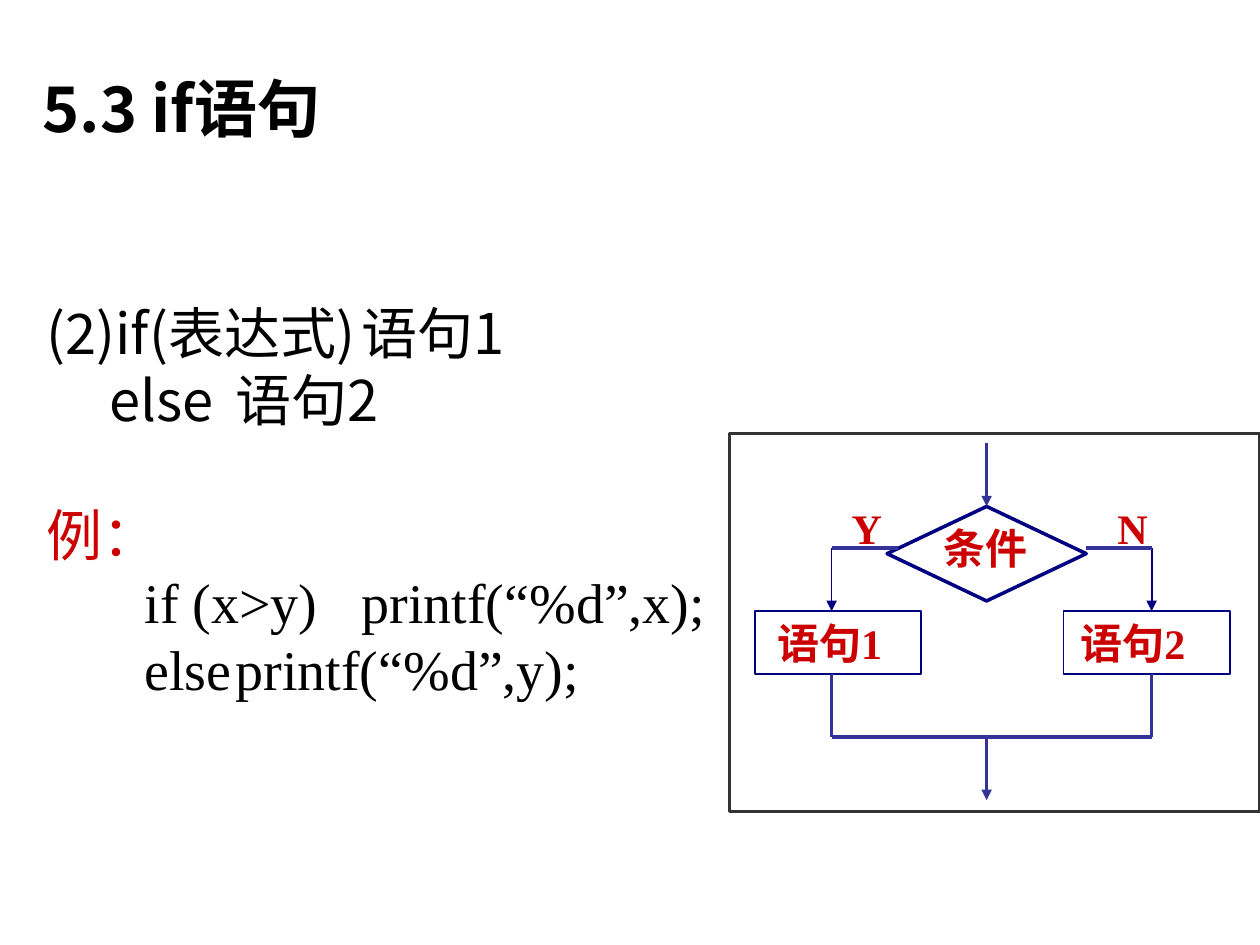
from dataclasses import dataclass
from typing import Optional

from lxml.etree import SubElement
from pptx import Presentation
from pptx.dml.color import RGBColor
from pptx.enum.shapes import MSO_CONNECTOR, MSO_SHAPE
from pptx.enum.text import MSO_ANCHOR, MSO_AUTO_SIZE, PP_ALIGN
from pptx.oxml.ns import qn
from pptx.util import Pt

BLACK = RGBColor(0x00, 0x00, 0x00)
WHITE = RGBColor(0xFF, 0xFF, 0xFF)
RED = RGBColor(0xCC, 0x00, 0x00)
NAVY = RGBColor(0x00, 0x00, 0x80)
INDIGO = RGBColor(0x33, 0x33, 0x99)
CHARCOAL = RGBColor(0x33, 0x33, 0x33)
SANS = "Noto Sans CJK SC"
SERIF = "Times New Roman"
LINE_PITCH = 38.4

LEFT_X, CENTER_X, RIGHT_X = 475.2, 563.8, 658.1
BRANCH_Y, BOX_TOP, BOX_BOTTOM, MERGE_Y = 313.2, 349.2, 385.2, 421.2


@dataclass(frozen=True)
class CodeLine:
    text: str
    font: str
    color: RGBColor = BLACK
    indent: float = 0
    tab: Optional[float] = None
    space_before: float = 0


@dataclass(frozen=True)
class Node:
    kind: MSO_SHAPE
    left: float
    top: float
    width: float
    height: float
    color: RGBColor
    weight: float
    fill: Optional[RGBColor] = None


@dataclass(frozen=True)
class Edge:
    begin: tuple[float, float]
    end: tuple[float, float]
    color: RGBColor = INDIGO
    weight: float = 2
    arrow: bool = False


@dataclass(frozen=True)
class Label:
    text: str
    left: float
    top: float
    width: float


CODE_LINES = [
    CodeLine("(2)if(表达式)\t语句1", SANS, tab=236),
    CodeLine("else\t语句2", SANS, indent=36, tab=190),
    CodeLine("例：", SERIF, RED, space_before=LINE_PITCH),
    CodeLine("if (x>y)\tprintf(“%d”,x);", SERIF, indent=56, tab=179),
    CodeLine("else\tprintf(“%d”,y);", SERIF, indent=56, tab=122),
]
FRAME = Node(MSO_SHAPE.RECTANGLE, 416.9, 247.7, 303.1, 216, CHARCOAL, 2, WHITE)
DECISION = Node(MSO_SHAPE.FLOWCHART_DECISION, 506.9, 289.4, 113.8, 54, NAVY, 2)
STATEMENTS = [
    Node(MSO_SHAPE.FLOWCHART_PROCESS, left, BOX_TOP, 95, 36, NAVY, 1)
    for left in (431.3, 607.7)
]
BRANCHES = [
    edge
    for x, corner in ((LEFT_X, 513.4), (RIGHT_X, 620.6))
    for edge in (
        Edge((x, BRANCH_Y), (x, BOX_TOP), NAVY, 1, True),
        Edge((corner, BRANCH_Y), (x, BRANCH_Y)),
        Edge((x, BOX_BOTTOM), (x, MERGE_Y)),
    )
]
EXITS = [
    Edge((LEFT_X, MERGE_Y), (RIGHT_X, MERGE_Y)),
    Edge((CENTER_X, MERGE_Y), (CENTER_X, 457.2), arrow=True),
]
ENTRY = Edge((CENTER_X, 253.4), (CENTER_X, DECISION.top), arrow=True)
LABELS = [
    Label("条件", 532.1, 295.2, 66),
    Label("语句1", 437, BOX_TOP, 82),
    Label("语句2", 610.3, BOX_TOP, 82),
    Label("Y", 479.5, 283.7, 32),
    Label("N", 631.4, 283.7, 32),
]


def apply_format(target, values: dict) -> None:
    for name, value in values.items():
        setattr(target, name, value)


def write_run(paragraph, text: str, font: str, size: float, color: RGBColor, bold: bool) -> None:
    run = paragraph.add_run()
    run.text = text
    apply_format(run.font, {"name": font, "size": Pt(size), "bold": bold})
    run.font.color.rgb = color
    SubElement(run.font._element, qn("a:ea"), typeface=SANS)


def place(shape, left: float, top: float, width: float, height: float) -> None:
    apply_format(shape, {"left": Pt(left), "top": Pt(top), "width": Pt(width), "height": Pt(height)})


def fill_title(title) -> None:
    place(title, 17, 36, 703, 90)
    apply_format(title.text_frame, {
        "vertical_anchor": MSO_ANCHOR.TOP, "auto_size": MSO_AUTO_SIZE.NONE, "word_wrap": True,
    })
    paragraph = title.text_frame.paragraphs[0]
    paragraph.alignment = PP_ALIGN.LEFT
    write_run(paragraph, "5.3 if语句", SANS, 36, BLACK, True)


def fill_body(body) -> None:
    place(body, 19.4, 130, 481.7, 311.8)
    frame = body.text_frame
    apply_format(frame, {
        "vertical_anchor": MSO_ANCHOR.MIDDLE, "auto_size": MSO_AUTO_SIZE.NONE, "word_wrap": True,
    })
    for index, line in enumerate(CODE_LINES):
        paragraph = frame.add_paragraph() if index else frame.paragraphs[0]
        apply_format(paragraph, {
            "alignment": PP_ALIGN.LEFT, "line_spacing": Pt(LINE_PITCH),
            "space_before": Pt(line.space_before), "space_after": Pt(0),
        })
        properties = paragraph._p.get_or_add_pPr()
        properties.set("marL", "0")
        properties.set("indent", str(Pt(line.indent)))
        SubElement(properties, qn("a:buNone"))
        if line.tab is not None:
            tabs = SubElement(properties, qn("a:tabLst"))
            SubElement(tabs, qn("a:tab"), pos=str(Pt(line.tab)), algn="l")
        write_run(paragraph, line.text, line.font, 32, line.color, False)


def draw_node(shapes, node: Node):
    shape = shapes.add_shape(node.kind, Pt(node.left), Pt(node.top), Pt(node.width), Pt(node.height))
    shape.shadow.inherit = False
    if node.fill is None:
        shape.fill.background()
    else:
        shape.fill.solid()
        shape.fill.fore_color.rgb = node.fill
    shape.line.color.rgb = node.color
    shape.line.width = Pt(node.weight)
    return shape


def draw_edge(shapes, edge: Edge):
    points = [Pt(value) for value in (*edge.begin, *edge.end)]
    connector = shapes.add_connector(MSO_CONNECTOR.STRAIGHT, *points)
    connector.line.color.rgb = edge.color
    connector.line.width = Pt(edge.weight)
    if edge.arrow:
        SubElement(connector.line._get_or_add_ln(), qn("a:tailEnd"), type="triangle")
    SubElement(connector._element.spPr, qn("a:effectLst"))
    return connector


def draw_label(shapes, label: Label) -> None:
    box = shapes.add_textbox(Pt(label.left), Pt(label.top), Pt(label.width), Pt(36))
    box.text_frame.word_wrap = True
    write_run(box.text_frame.paragraphs[0], label.text, SERIF, 24, RED, True)


def draw_flowchart(shapes) -> None:
    draw_node(shapes, FRAME)
    decision = draw_node(shapes, DECISION)
    for node in STATEMENTS:
        draw_node(shapes, node)
    for edge in BRANCHES + EXITS:
        draw_edge(shapes, edge)
    draw_edge(shapes, ENTRY).end_connect(decision, 0)
    for label in LABELS:
        draw_label(shapes, label)


def main() -> None:
    presentation = Presentation()
    apply_format(presentation, {"slide_width": Pt(720), "slide_height": Pt(540)})
    slide = presentation.slides.add_slide(presentation.slide_layouts[1])
    fill_title(slide.shapes.title)
    fill_body(slide.placeholders[1])
    draw_flowchart(slide.shapes.add_group_shape().shapes)
    presentation.save("out.pptx")


if __name__ == "__main__":
    main()
